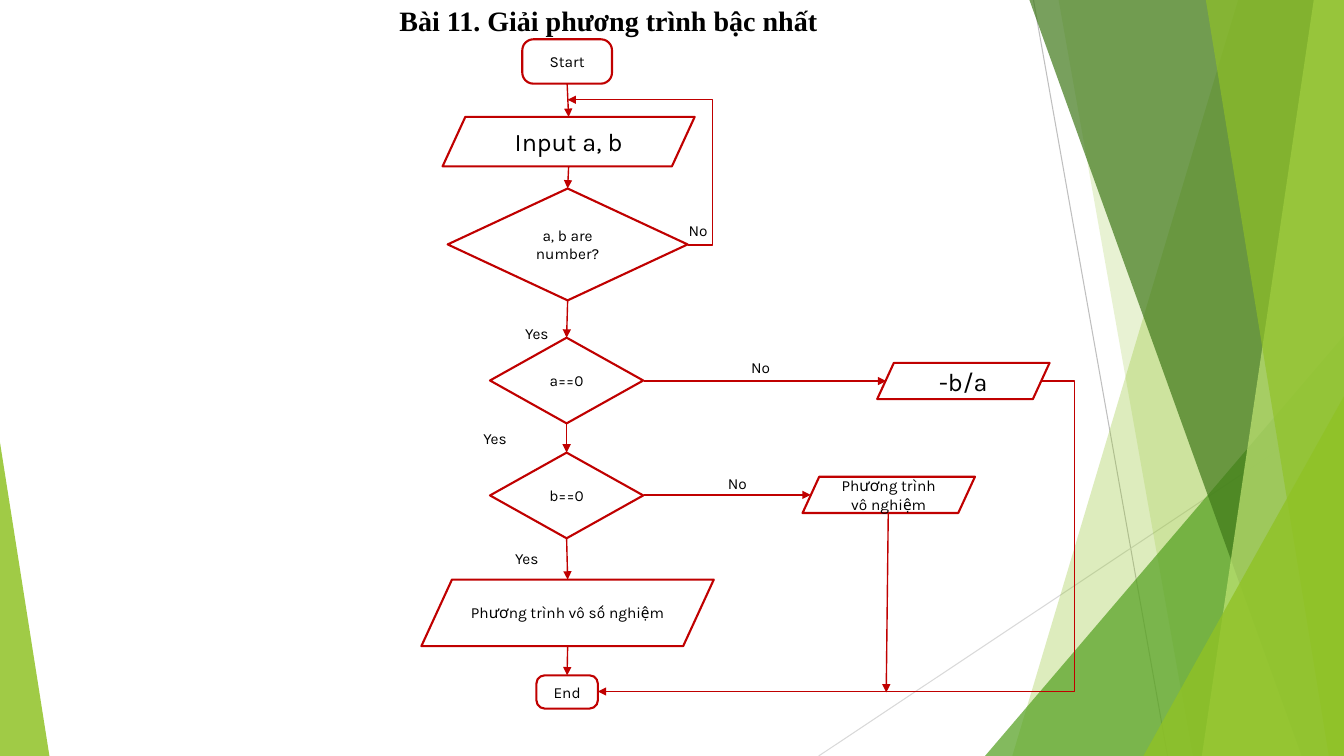
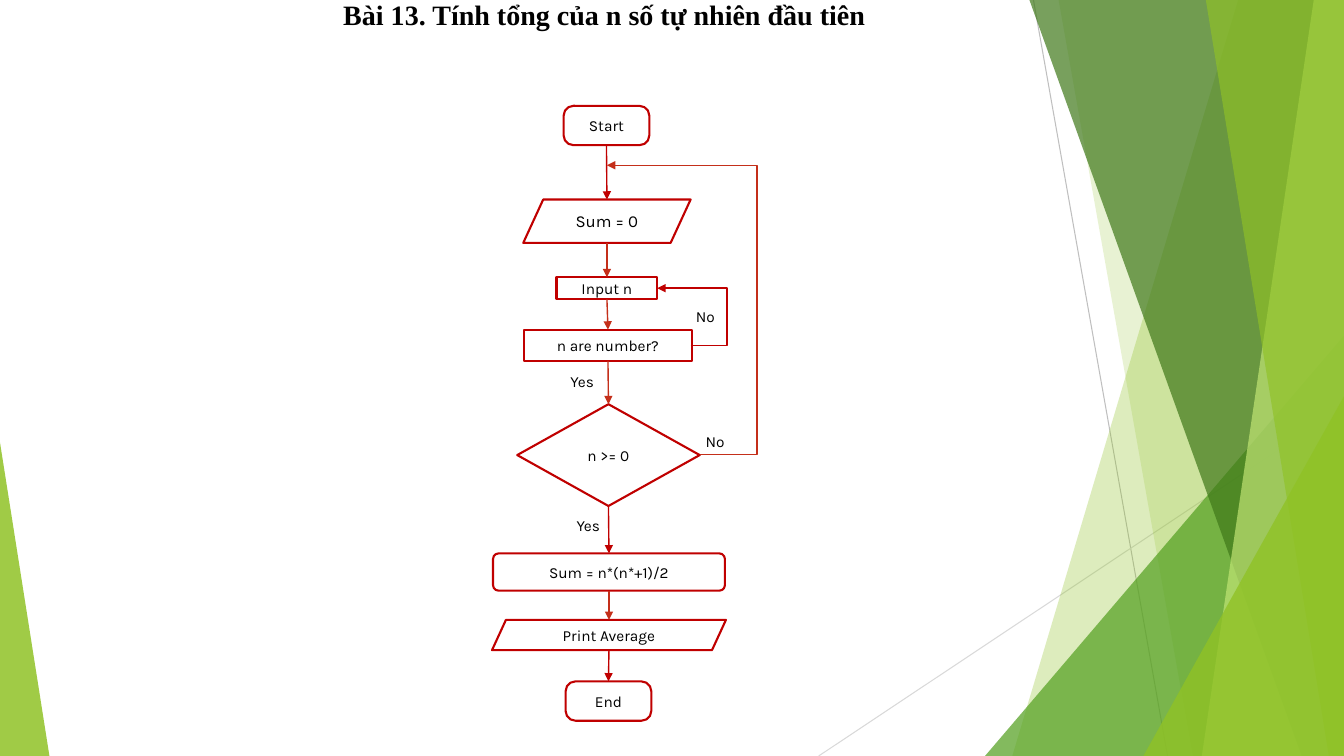
import itertools

import pptx
import pptx.dml.color
import pptx.enum.shapes
import pptx.enum.text
import pptx.oxml.ns
import pptx.util
from lxml import etree

Inches = pptx.util.Inches
Shape = pptx.enum.shapes.MSO_SHAPE
Align = pptx.enum.text.PP_ALIGN
Connector = pptx.enum.shapes.MSO_CONNECTOR
qn = pptx.oxml.ns.qn

WIDTH, HEIGHT = 13.33, 7.5
RED, RUST, BLACK = "C00000", "C42F1A", "000000"
LIME, LEAF, FOREST, PALE = "90C226", "54A021", "3F7819", "C0E474"
TITLE_FONT, BODY_FONT = "Times New Roman", "Karla"
# Corner roundness or slant of each preset used in the charts
TERMINAL, ROUNDED, SLANT = 0.25, 0.15, 0.46


def rgb(color):
    return pptx.dml.color.RGBColor.from_string(color)


def centre(box):
    """Middle x, top and bottom of a box, in inches."""
    return ((box.left + box.width / 2) / Inches(1),
            box.top / Inches(1), (box.top + box.height) / Inches(1))


class Flowchart:
    def __init__(self):
        self.deck = pptx.Presentation()
        self.deck.slide_width = Inches(WIDTH)
        self.deck.slide_height = Inches(HEIGHT)
        self.layout = self.deck.slide_layouts[5]
        self.page = None

    def add_page(self, title, left, top):
        self.page = self.deck.slides.add_slide(self.layout)
        if len(self.deck.slides) == 1:
            self.add_backdrop()
        box = self.page.shapes.title
        box.left, box.top = Inches(left), Inches(top)
        box.width, box.height = Inches(12.79), Inches(0.62)
        self.set_text(box, title, 20, Align.CENTER, TITLE_FONT, True)
        box.text_frame.paragraphs[0].line_spacing = 0.9

    def set_text(self, box, text, size, align, font=BODY_FONT, bold=False):
        frame = box.text_frame
        frame.word_wrap = True
        frame.auto_size = pptx.enum.text.MSO_AUTO_SIZE.NONE
        frame.vertical_anchor = pptx.enum.text.MSO_ANCHOR.MIDDLE
        para = frame.paragraphs[0]
        para.alignment = align
        span = para.add_run()
        span.text = text
        span.font.name, span.font.bold = font, bold
        span.font.size = pptx.util.Pt(size)
        span.font.color.rgb = rgb(BLACK)

    def preset(self, kind, left, top, width, height, adjust=None):
        box = self.page.shapes.add_shape(
            kind, Inches(left), Inches(top), Inches(width), Inches(height))
        box.shadow.inherit = False
        if adjust is not None:
            box.adjustments[0] = adjust
        return box

    def step(self, kind, text, left, top, width, height, adjust=None, size=11):
        box = self.preset(kind, left, top, width, height, adjust)
        box.fill.background()
        box.line.color.rgb = rgb(RED)
        box.line.width = pptx.util.Pt(1.5)
        self.set_text(box, text, size, Align.CENTER)
        return box

    def label(self, text, left, top, width, height, align=Align.CENTER):
        box = self.page.shapes.add_textbox(
            Inches(left), Inches(top), Inches(width), Inches(height))
        self.set_text(box, text, 11, align)

    def line(self, start, end, color, width, kind=Connector.STRAIGHT):
        line = self.page.shapes.add_connector(
            kind, *(Inches(value) for value in (*start, *end)))
        line.line.color.rgb = rgb(color)
        line.line.width = pptx.util.Pt(width)
        etree.SubElement(line.element.spPr, qn("a:effectLst"))
        return line

    def arrow(self, start, end, color=RED, turn=None):
        """Straight arrow, or an elbow whose upright part stands at x = turn."""
        kind = Connector.STRAIGHT if turn is None else Connector.ELBOW
        properties = self.line(start, end, color, 1, kind).element.spPr
        etree.SubElement(properties.find(qn("a:ln")), qn("a:tailEnd"), type="triangle")
        if turn is not None:
            share = (turn - start[0]) / (end[0] - start[0])
            guides = properties.find(qn("a:prstGeom")).get_or_add_avLst()
            etree.SubElement(guides, qn("a:gd"), name="adj1",
                             fmla=f"val {round(share * 100000)}")

    def flow(self, steps, colors):
        """Arrows from the foot of each step to the head of the next."""
        for (upper, lower), color in zip(itertools.pairwise(steps), colors):
            x_start, _, foot = centre(upper)
            x_end, head, _ = centre(lower)
            self.arrow((x_start, foot), (x_end, head), color)

    def tint(self, shape, color, opacity):
        shape.shadow.inherit = False
        shape.line.fill.background()
        shape.fill.solid()
        shape.fill.fore_color.rgb = rgb(color)
        for tone in shape.element.spPr.iter(qn("a:srgbClr")):
            etree.SubElement(tone, qn("a:alpha"), val=str(opacity * 1000))

    def band(self, top_left, bottom_left, color, opacity):
        """Band from a slanted left edge to the right edge of the slide."""
        corners = [(Inches(x), Inches(y)) for x, y in (
            (top_left, 0), (WIDTH, 0), (WIDTH, HEIGHT), (bottom_left, HEIGHT))]
        outline = self.page.shapes.build_freeform(*corners[0])
        outline.add_line_segments(corners[1:], close=True)
        self.tint(outline.convert_to_shape(), color, opacity)

    def wedge(self, left, top, width, apex, color, opacity):
        """Triangle standing on the bottom edge of the slide."""
        shape = self.preset(Shape.ISOSCELES_TRIANGLE, left, top, width,
                            HEIGHT - top, apex)
        self.tint(shape, color, opacity)

    def add_backdrop(self):
        """Draw the shared background and move it to the layout."""
        self.line((10.25, 0), (11.58, HEIGHT), "BFBFBF", 0.75)
        self.line((WIDTH, 4.03), (8.12, HEIGHT), "D9D9D9", 0.75)
        self.band(12.28, 10.04, LIME, 30)
        self.band(10.5, 11.83, LIME, 20)
        self.wedge(9.77, 3.33, 3.56, 1, LEAF, 72)
        self.band(10.21, 12.91, FOREST, 70)
        self.band(13.03, 11.92, PALE, 70)
        self.band(11.96, 13.18, LIME, 65)
        self.wedge(11.34, 3.93, 1.99, 1, LIME, 80)
        self.wedge(0, 4.39, 0.49, 0, LIME, 85)
        decoration = [shape for shape in self.page.shapes if not shape.is_placeholder]
        for number, shape in enumerate(decoration):
            shape.element.xpath("./*/p:cNvPr")[0].set("id", str(100 + number))
            self.layout.shapes.element.insert(2 + number, shape.element)


def linear_equation(chart):
    chart.add_page("Bài 11. Giải phương trình bậc nhất", -0.36, -0.09)
    # Main column
    steps = [
        chart.step(Shape.ROUNDED_RECTANGLE, "Start", 5.18, 0.39, 0.89, 0.44, TERMINAL),
        chart.step(Shape.PARALLELOGRAM, "Input a, b", 4.39, 1.16, 2.5, 0.49, SLANT, 18),
        chart.step(Shape.DIAMOND, "a, b are number?", 4.44, 1.87, 2.38, 1.11),
        chart.step(Shape.DIAMOND, "a==0", 4.86, 3.35, 1.52, 0.85),
        chart.step(Shape.DIAMOND, "b==0", 4.86, 4.49, 1.52, 0.85),
        chart.step(Shape.PARALLELOGRAM, "Phương trình vô số nghiệm",
                   4.18, 5.75, 2.9, 0.66, SLANT),
        chart.step(Shape.ROUNDED_RECTANGLE, "End", 5.32, 6.7, 0.61, 0.33, TERMINAL),
    ]
    chart.flow(steps, itertools.repeat(RED))
    # Results on the right
    chart.step(Shape.PARALLELOGRAM, "-b/a", 8.7, 3.6, 1.71, 0.36, SLANT, 18)
    chart.step(Shape.PARALLELOGRAM, "Phương trình vô nghiệm", 7.96, 4.73, 1.71, 0.36, SLANT)
    # Branches
    chart.arrow((6.82, 2.43), (5.63, 0.99), turn=7.07)
    chart.arrow((6.39, 3.78), (8.79, 3.78))
    chart.arrow((6.39, 4.91), (8.04, 4.91))
    chart.arrow((10.33, 3.78), (5.93, 6.86), turn=10.66)
    chart.arrow((8.81, 5.09), (8.79, 6.87))
    # Answers
    chart.label("No", 6.61, 2.12, 0.63, 0.34)
    chart.label("Yes", 5.11, 3.13, 0.76, 0.35, Align.LEFT)
    chart.label("No", 7.33, 3.52, 0.43, 0.25)
    chart.label("Yes", 4.65, 4.19, 0.52, 0.32)
    chart.label("No", 7.12, 4.62, 0.76, 0.35, Align.LEFT)
    chart.label("Yes", 5.01, 5.41, 0.52, 0.26, Align.LEFT)


def sum_of_naturals(chart):
    chart.add_page("Bài 13. Tính tổng của n số tự nhiên đầu tiên", -0.4, -0.15)
    # Main column
    steps = [
        chart.step(Shape.ROUNDED_RECTANGLE, "Start", 5.59, 1.05, 0.85, 0.39, TERMINAL),
        chart.step(Shape.PARALLELOGRAM, "Sum = 0", 5.19, 1.98, 1.66, 0.43, SLANT, 12),
        chart.step(Shape.RECTANGLE, "Input n", 5.52, 2.75, 1, 0.22),
        chart.step(Shape.RECTANGLE, "n are number?", 5.2, 3.27, 1.66, 0.31),
        chart.step(Shape.DIAMOND, "n >= 0", 5.13, 4.01, 1.81, 1.01),
        chart.step(Shape.ROUNDED_RECTANGLE, "Sum = n*(n*+1)/2",
                   4.89, 5.49, 2.3, 0.37, ROUNDED),
        chart.step(Shape.PARALLELOGRAM, "Print Average", 4.88, 6.15, 2.32, 0.3, SLANT),
        chart.step(Shape.ROUNDED_RECTANGLE, "End", 5.61, 6.76, 0.85, 0.39, TERMINAL),
    ]
    chart.flow(steps, [RED, RUST, RUST, RUST, RED, RUST, RED])
    # Loops back
    chart.arrow((6.85, 3.43), (6.52, 2.86), turn=7.21)
    chart.arrow((6.94, 4.51), (6.02, 1.64), RUST, turn=7.51)
    # Answers
    chart.label("No", 6.69, 2.99, 0.61, 0.3)
    chart.label("Yes", 5.56, 3.63, 0.73, 0.31, Align.LEFT)
    chart.label("No", 6.9, 4.22, 0.73, 0.31, Align.LEFT)
    chart.label("Yes", 5.47, 5.02, 0.73, 0.39)


def main():
    chart = Flowchart()
    linear_equation(chart)
    sum_of_naturals(chart)
    chart.deck.save("out.pptx")


if __name__ == "__main__":
    main()
